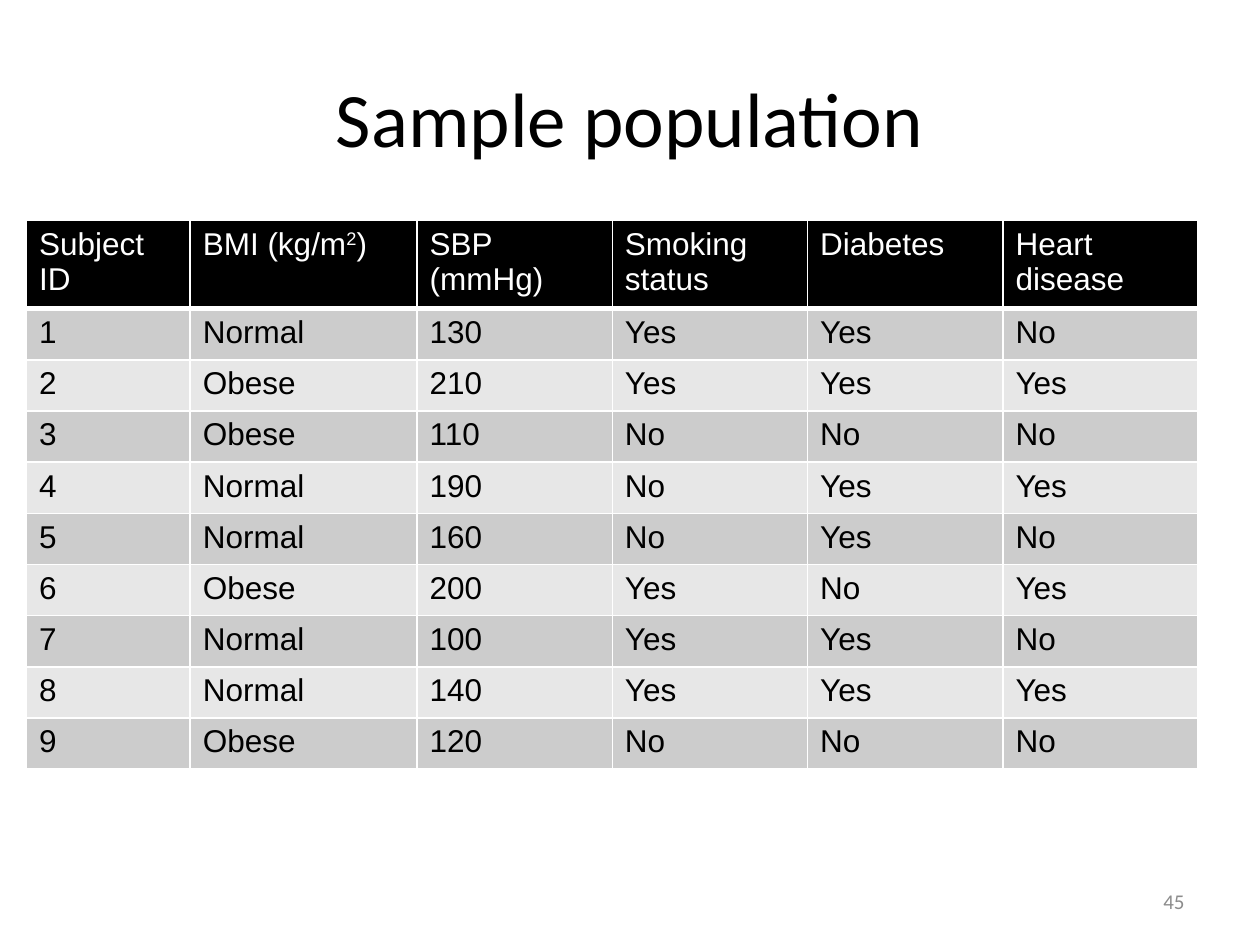
"""Build the sample population slide with its table of nine subjects."""
from dataclasses import dataclass

from lxml.etree import SubElement
from pptx import Presentation
from pptx.dml.color import RGBColor
from pptx.enum.text import MSO_ANCHOR, PP_ALIGN
from pptx.oxml.ns import qn
from pptx.util import Pt


@dataclass(frozen=True)
class Theme:
    heading_font: str = "Calibri"
    table_font: str = "Arial"
    title_size: int = 44
    table_size: int = 18
    number_size: int = 12
    ink: str = "000000"
    paper: str = "FFFFFF"
    muted: str = "8C8C8C"
    bands: tuple = ("CCCCCC", "E7E7E7")


THEME = Theme()
SUPERSCRIPT = 30000
COLUMN_WIDTHS = (93.6, 129.6, 111.6, 111.6, 111.6, 111.6)
HEADER_HEIGHT = 47.25
ROW_HEIGHT = 29.25
HEADINGS = (
    [("Subject ID", 0)],
    [("BMI (kg/m", 0), ("2", SUPERSCRIPT), (")", 0)],
    [("SBP (mmHg)", 0)],
    [("Smoking status", 0)],
    [("Diabetes", 0)],
    [("Heart disease", 0)],
)
SUBJECTS = (
    ("Normal", "130", "Yes", "Yes", "No"),
    ("Obese", "210", "Yes", "Yes", "Yes"),
    ("Obese", "110", "No", "No", "No"),
    ("Normal", "190", "No", "Yes", "Yes"),
    ("Normal", "160", "No", "Yes", "No"),
    ("Obese", "200", "Yes", "No", "Yes"),
    ("Normal", "100", "Yes", "Yes", "No"),
    ("Normal", "140", "Yes", "Yes", "Yes"),
    ("Obese", "120", "No", "No", "No"),
)


def add_run(paragraph, wording, font, size, color, baseline=0):
    run = paragraph.add_run()
    run.text = wording
    run.font.name = font
    run.font.size = Pt(size)
    run.font.color.rgb = RGBColor.from_string(color)
    if baseline:
        run.font._element.set("baseline", str(baseline))


def add_label(slide, box, wording, size, color, align):
    label = slide.shapes.add_textbox(*map(Pt, box))
    frame = label.text_frame
    frame.word_wrap = True
    frame.vertical_anchor = MSO_ANCHOR.MIDDLE
    paragraph = frame.paragraphs[0]
    paragraph.alignment = align
    add_run(paragraph, wording, THEME.heading_font, size, color)


def set_borders(cell, bottom):
    properties = cell._tc.get_or_add_tcPr()
    for side, width in (("L", 1), ("R", 1), ("T", 1), ("B", bottom)):
        border = SubElement(properties, qn(f"a:ln{side}"), w=str(Pt(width)))
        fill = SubElement(border, qn("a:solidFill"))
        SubElement(fill, qn("a:srgbClr"), val=THEME.paper)


def fill_cell(cell, pieces, fill, color, bottom=1):
    set_borders(cell, bottom)
    cell.fill.solid()
    cell.fill.fore_color.rgb = RGBColor.from_string(fill)
    for wording, baseline in pieces:
        add_run(cell.text_frame.paragraphs[0], wording,
                THEME.table_font, THEME.table_size, color, baseline)


def add_population_table(slide, left, top):
    height = HEADER_HEIGHT + ROW_HEIGHT * len(SUBJECTS)
    population = slide.shapes.add_table(
        len(SUBJECTS) + 1, len(HEADINGS),
        Pt(left), Pt(top), Pt(sum(COLUMN_WIDTHS)), Pt(height)).table
    population.first_row = False
    population.horz_banding = False
    for column, width in zip(population.columns, COLUMN_WIDTHS):
        column.width = Pt(width)
    for index, row in enumerate(population.rows):
        row.height = Pt(ROW_HEIGHT if index else HEADER_HEIGHT)
    for column, pieces in enumerate(HEADINGS):
        fill_cell(population.cell(0, column), pieces, THEME.ink, THEME.paper, bottom=3)
    for subject_id, findings in enumerate(SUBJECTS, start=1):
        band = THEME.bands[(subject_id - 1) % 2]
        for column, value in enumerate((str(subject_id), *findings)):
            fill_cell(population.cell(subject_id, column), [(value, 0)], band, THEME.ink)


def main():
    deck = Presentation()
    deck.slide_width, deck.slide_height = Pt(720), Pt(540)
    slide = deck.slides.add_slide(deck.slide_layouts[6])
    add_label(slide, (36, 21.6, 648, 90), "Sample population",
              THEME.title_size, THEME.ink, PP_ALIGN.CENTER)
    add_population_table(slide, 15.12, 126)
    add_label(slide, (516, 500.5, 168, 28.75), "45",
              THEME.number_size, THEME.muted, PP_ALIGN.RIGHT)
    deck.save("out.pptx")


if __name__ == "__main__":
    main()
